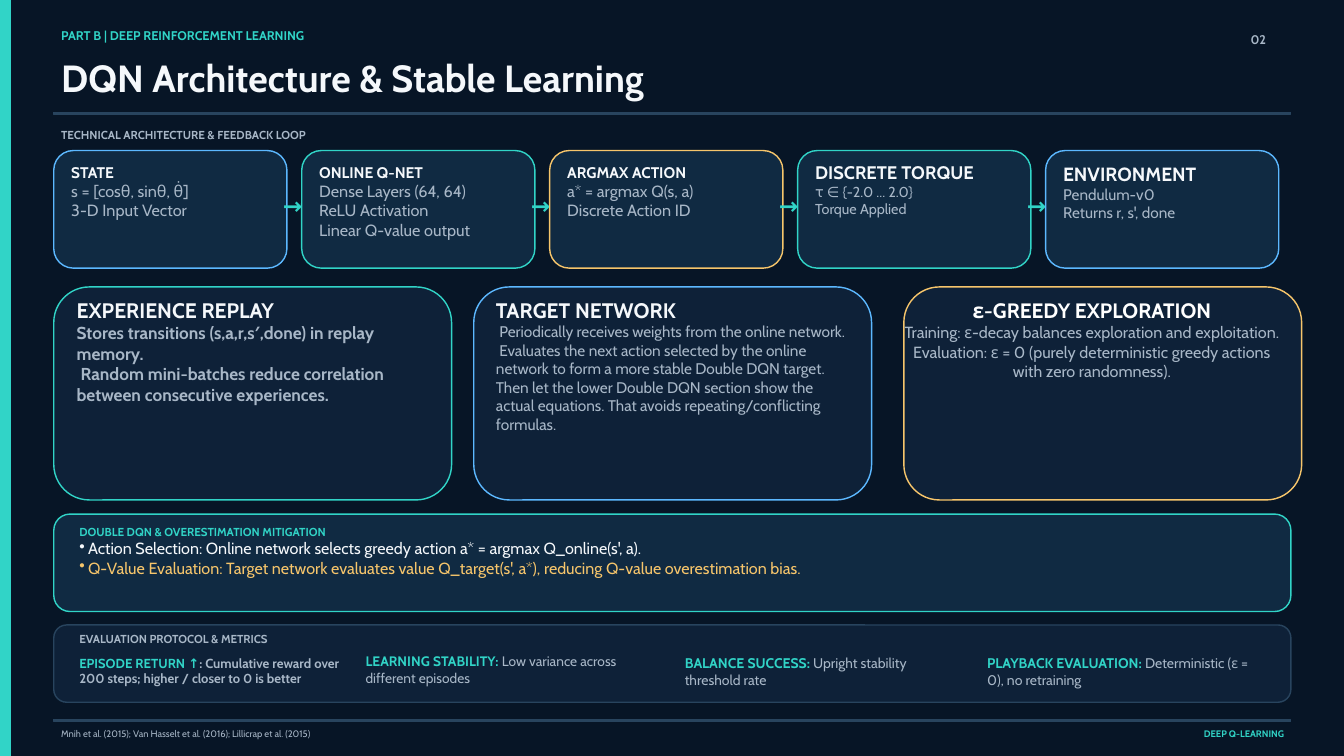
"""Build the slide on DQN architecture and stable learning."""
from dataclasses import dataclass

import lxml.etree
import pptx
import pptx.dml.color
import pptx.enum.shapes
import pptx.enum.text
import pptx.oxml.ns
import pptx.util

Inches = pptx.util.Inches
Pt = pptx.util.Pt
KIND = pptx.enum.shapes.MSO_SHAPE
SIDE = pptx.enum.text.PP_ALIGN
Box = tuple[float, float, float, float]

HUES = {
    "back": "071526", "teal": "31D4C7", "white": "F5F8FB", "rule": "28445E",
    "grey": "A8B7C7", "card": "102A42", "deep": "0E2138", "blue": "5CB8FF",
    "gold": "F6C56B", "pure": "FFFFFF",
}


@dataclass(frozen=True)
class Run:
    text: str
    hue: str = "grey"
    bold: bool = False


@dataclass(frozen=True)
class Para:
    size: float
    runs: tuple[Run, ...]
    dent: float = 0
    mark: str = ""


@dataclass(frozen=True)
class Card:
    edge: str
    top: float
    paras: tuple[Para, ...]


@dataclass(frozen=True)
class Metric:
    box: Box
    size: float
    label: str
    note: str
    bold: bool = False


def tone(name: str) -> pptx.dml.color.RGBColor:
    return pptx.dml.color.RGBColor.from_string(HUES[name])


def line(text: str, size: float, hue: str = "grey", bold: bool = False,
         dent: float = 0, mark: str = "") -> Para:
    return Para(size, (Run(text, hue, bold),), dent, mark)


def head(text: str, size: float, hue: str = "white") -> Para:
    return line(text, size, hue, True)


def step(edge: str, top: float, title: str, big: float, small: float, *rows: str) -> Card:
    return Card(edge, top, (head(title, big), *(line(row, small) for row in rows)))


def fill_text(frame, paras: tuple[Para, ...], align=SIDE.LEFT) -> None:
    looks = {
        "margin_left": 0, "margin_right": 0, "margin_top": 0, "margin_bottom": 0,
        "word_wrap": True, "auto_size": pptx.enum.text.MSO_AUTO_SIZE.NONE,
        "vertical_anchor": pptx.enum.text.MSO_ANCHOR.TOP,
    }
    for key, val in looks.items():
        setattr(frame, key, val)
    for num, para in enumerate(paras):
        item = frame.add_paragraph() if num else frame.paragraphs[0]
        if para.dent:
            props = item._p.get_or_add_pPr()
            dent = Inches(para.dent)
            props.set("marL", str(dent if para.mark else 0))
            props.set("indent", str(-dent if para.mark else dent))
            if para.mark:
                bullet = lxml.etree.SubElement(props, pptx.oxml.ns.qn("a:buChar"))
                bullet.set("char", para.mark)
        form = {"alignment": align, "line_spacing": Pt(para.size * 1.2),
                "space_before": Pt(0)}
        for key, val in form.items():
            setattr(item, key, val)
        for run in para.runs:
            part = item.add_run()
            part.text = run.text
            part.font.color.rgb = tone(run.hue)
            face = {"name": "Cabin", "size": Pt(para.size), "bold": run.bold}
            for key, val in face.items():
                setattr(part.font, key, val)


def write(slide, box: Box, *paras: Para, align=SIDE.LEFT) -> None:
    shape = slide.shapes.add_textbox(*map(Inches, box))
    fill_text(shape.text_frame, paras, align)


def panel(slide, box: Box, fill: str, edge: str, width: float = 1.5,
          kind=KIND.ROUNDED_RECTANGLE) -> None:
    shape = slide.shapes.add_shape(kind, *map(Inches, box))
    shape.shadow.inherit = False
    shape.fill.solid()
    shape.fill.fore_color.rgb = tone(fill)
    shape.line.color.rgb = tone(edge)
    shape.line.width = Pt(width)


STEPS = (
    step("blue", 2.42, "STATE", 16.5, 17.4, "s = [cosθ, sinθ, θ̇]", "3-D Input Vector"),
    step("teal", 2.42, "ONLINE Q-NET", 16.5, 17.4, "Dense Layers (64, 64)",
         "ReLU Activation", "Linear Q-value output"),
    step("gold", 2.42, "ARGMAX ACTION", 16.5, 17.4, "a* = argmax Q(s, a)",
         "Discrete Action ID"),
    step("teal", 2.4, "DISCRETE TORQUE", 19.5, 15.4, "τ ∈ {-2.0 ... 2.0}",
         "Torque Applied"),
    step("blue", 2.41, "ENVIRONMENT", 20.5, 16.4, "Pendulum-v0", "Returns r, s', done"),
)
REPLAY = (
    head("EXPERIENCE REPLAY", 22.5),
    line("Stores transitions (s,a,r,s′,done) in replay memory.", 18.5, bold=True),
    line("Random mini-batches reduce correlation between consecutive experiences.",
         18.5, bold=True, dent=0.06),
)
TARGET = (
    head("TARGET NETWORK", 22.5),
    line("Periodically receives weights from the online network.", 16.5, dent=0.05),
    line("Evaluates the next action selected by the online network to form "
         "a more stable Double DQN target.", 16.5, dent=0.05),
    line("Then let the lower Double DQN section show the actual equations. "
         "That avoids repeating/conflicting formulas.", 16.5),
)
GREEDY = (
    head("ε-GREEDY EXPLORATION", 22.3, "pure"),
    line("Training: ε-decay balances exploration and exploitation.", 17.3),
    line("Evaluation: ε = 0 (purely deterministic greedy actions with zero randomness).", 17.3),
)
TOPICS = (
    (0.8, "teal", (1.14, 4.42, 5.25, 1.65), REPLAY, SIDE.LEFT),
    (7.05, "blue", (7.38, 4.42, 5.25, 2.44), TARGET, SIDE.LEFT),
    (13.45, "gold", (13.45, 4.43, 5.6, 1.49), GREEDY, SIDE.CENTER),
)
METRICS = (
    Metric((1.18, 9.75, 4, 0.49), 14, "EPISODE RETURN ↑",
           ": Cumulative reward over 200 steps; higher / closer to 0 is better", True),
    Metric((5.44, 9.72, 4.25, 0.51), 14.7, "LEARNING STABILITY: ",
           "Low variance across different episodes"),
    Metric((10.19, 9.74, 4, 0.54), 15, "BALANCE SUCCESS: ", "Upright stability threshold rate"),
    Metric((14.69, 9.74, 4, 0.54), 15, "PLAYBACK EVALUATION: ",
           "Deterministic (ε = 0), no retraining"),
)


def frame_page(slide) -> None:
    slide.background.fill.solid()
    slide.background.fill.fore_color.rgb = tone("back")
    title = slide.shapes.title
    place = dict(zip(("left", "top", "width", "height"), (0.91, 0.81, 17.06, 0.81)))
    for key, val in place.items():
        setattr(title, key, Inches(val))
    fill_text(title.text_frame, (head("DQN Architecture & Stable Learning", 40.5),))
    panel(slide, (0, 0, 0.16, 11.25), "teal", "teal", 1.13, KIND.RECTANGLE)
    for top in (1.67, 10.71):
        panel(slide, (0.8, top, 18.41, 0.03), "rule", "rule", 1.13, KIND.RECTANGLE)
    write(slide, (0.91, 0.42, 7.31, 0.31),
          head("PART B | DEEP REINFORCEMENT LEARNING", 13.5, "teal"))
    write(slide, (18.61, 0.48, 0.55, 0.31), head("02", 13.5, "grey"))
    write(slide, (0.91, 10.84, 14.81, 0.23),
          line("Mnih et al. (2015); Van Hasselt et al. (2016); Lillicrap et al. (2015)", 10.1))
    write(slide, (16.91, 10.84, 2.2, 0.23), head("DEEP Q-LEARNING", 10.1, "teal"),
          align=SIDE.RIGHT)


def draw_loop(slide) -> None:
    write(slide, (0.91, 1.91, 5.8, 0.22),
          head("TECHNICAL ARCHITECTURE & FEEDBACK LOOP", 12.4, "grey"))
    for num, card in enumerate(STEPS):
        left = 0.8 + 3.69 * num
        panel(slide, (left, 2.24, 3.47, 1.75), "card", card.edge)
        write(slide, (left + 0.26, card.top, 2.95, 1.15), *card.paras)
        if num:
            write(slide, (left - 0.28, 2.85, 0.25, 0.4), head("→", 24.8, "teal"))


def draw_lower(slide) -> None:
    for left, edge, box, paras, align in TOPICS:
        panel(slide, (left, 4.27, 5.92, 3.17), "deep", edge)
        write(slide, box, *paras, align=align)
    panel(slide, (0.8, 7.65, 18.41, 1.45), "card", "teal")
    write(slide, (1.18, 7.81, 17.51, 0.78),
          head("DOUBLE DQN & OVERESTIMATION MITIGATION", 12.4, "teal"),
          line("Action Selection: Online network selects greedy action "
               "a* = argmax Q_online(s', a).", 17.3, "white", dent=0.13, mark="•"),
          line("Q-Value Evaluation: Target network evaluates value Q_target(s', a*), "
               "reducing Q-value overestimation bias.", 17.3, "gold", dent=0.13, mark="•"))
    panel(slide, (0.8, 9.3, 18.41, 1.15), "deep", "rule")
    write(slide, (1.18, 9.41, 17.51, 0.22), head("EVALUATION PROTOCOL & METRICS", 12.4, "grey"))
    for met in METRICS:
        runs = (Run(met.label, "teal", True), Run(met.note, bold=met.bold))
        write(slide, met.box, Para(met.size, runs))


def main() -> None:
    deck = pptx.Presentation()
    deck.slide_width, deck.slide_height = Inches(20), Inches(11.25)
    slide = deck.slides.add_slide(deck.slide_layouts[5])
    for draw in (frame_page, draw_loop, draw_lower):
        draw(slide)
    deck.save("out.pptx")


if __name__ == "__main__":
    main()
